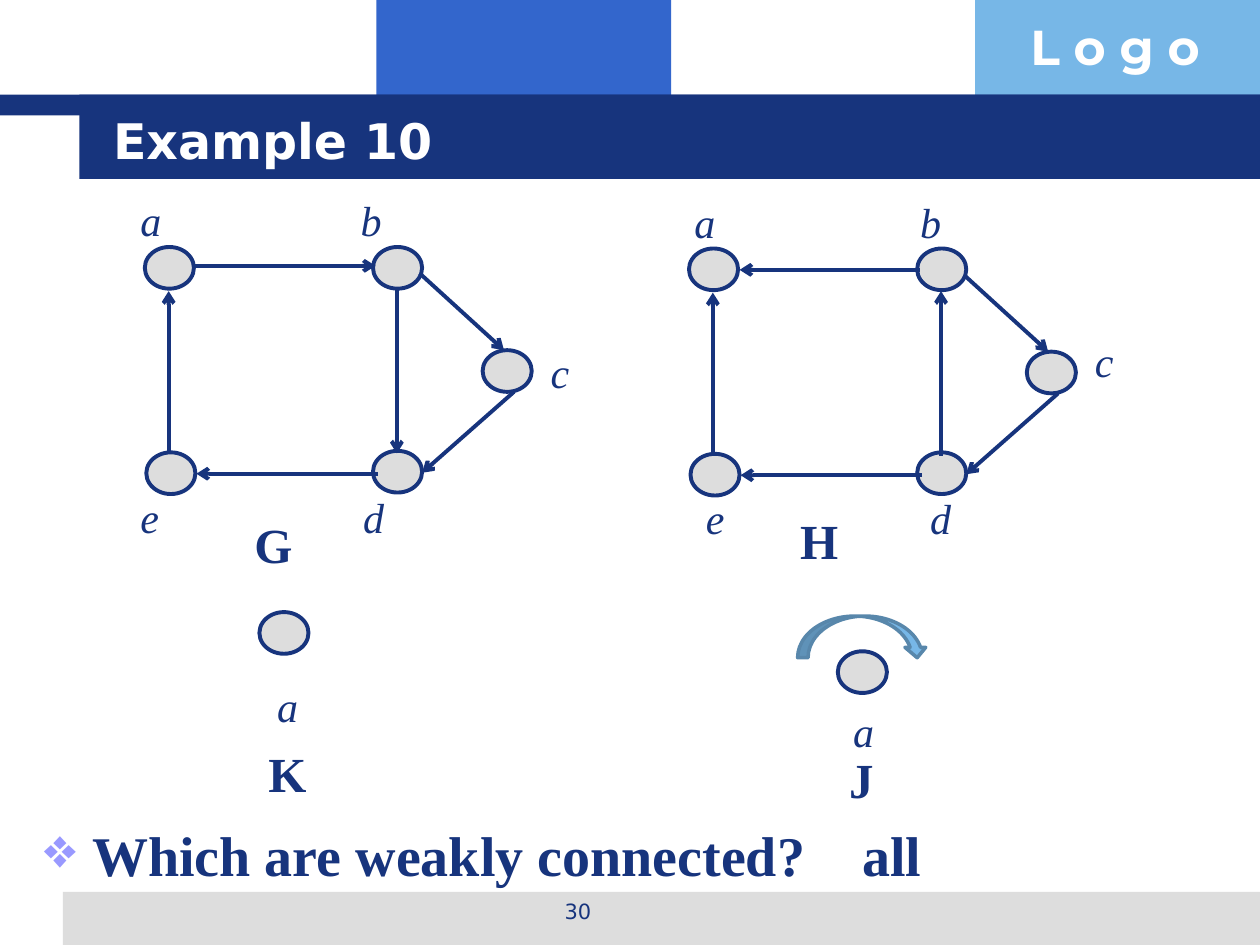
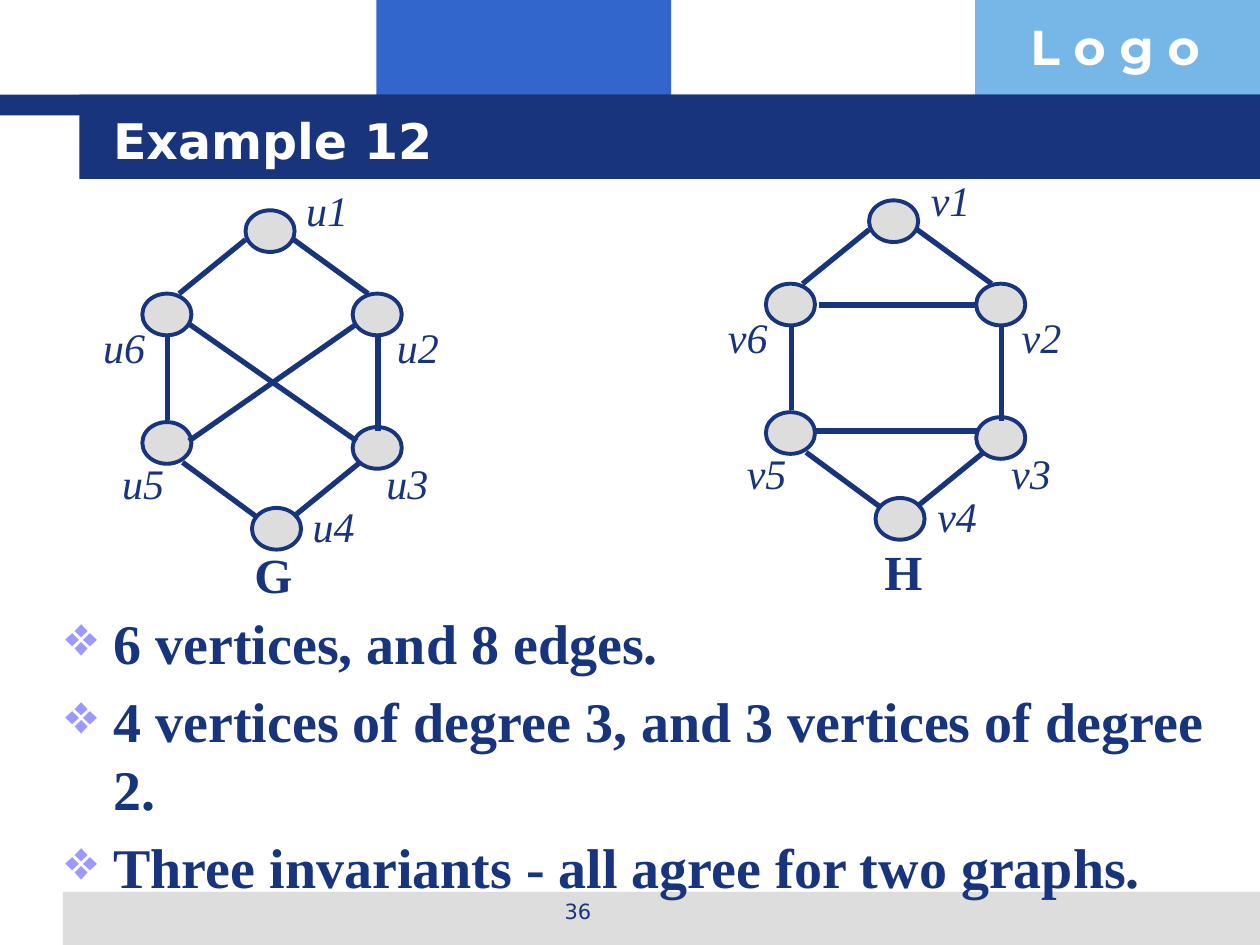
from lxml import etree
from pptx import Presentation
from pptx.dml.color import RGBColor
from pptx.enum import shapes, text
from pptx.oxml import ns
from pptx.util import Cm, Pt

NAVY = RGBColor(0x17, 0x34, 0x7D)
BLUE = RGBColor(0x33, 0x66, 0xCC)
SKY = RGBColor(0x77, 0xB7, 0xE7)
STEEL = RGBColor(0x58, 0x87, 0xAB)
GREY = RGBColor(0xDD, 0xDD, 0xDD)
WHITE = RGBColor(0xFF, 0xFF, 0xFF)
LILAC = "9999FF"
SANS, SERIF, LOGO_FONT = "DejaVu Sans", "Times New Roman", "Montserrat"

RECT = shapes.MSO_SHAPE.RECTANGLE
OVAL = shapes.MSO_SHAPE.OVAL
CURVED_ARROW = shapes.MSO_SHAPE.CURVED_DOWN_ARROW
CENTER = text.PP_ALIGN.CENTER
MIDDLE = text.MSO_ANCHOR.MIDDLE

HANGING = Cm(0.97)

# Positions inside a graph are in cm from the corner of its box.
PENTAGON = [(0.42, 1.18), (5.02, 1.18), (7.23, 3.26), (5.02, 5.29), (0.45, 5.32)]
PENTAGON_EDGES = [
    ((5.12, 5.75), (1.46, 5.75)),
    ((0.9, 5.32), (0.9, 2.07)),
    ((5.96, 1.71), (7.66, 3.26)),
    ((7.86, 4.1), (6.01, 5.73)),
]
HEXAGON = [(3.15, 0.64), (5.31, 2.32), (5.31, 5.01),
           (3.28, 6.64), (1.07, 4.91), (1.07, 2.32)]
HEXAGON_LABELS = [(4.12, 0), (5.95, 2.75), (5.74, 5.49),
                  (4.25, 6.36), (0.41, 5.49), (0.03, 2.75)]
HEXAGON_EDGES = [
    ((1.81, 2.32), (3.15, 1.23)),
    ((5.62, 2.32), (4.12, 1.23)),
    ((1.58, 4.86), (1.58, 3.18)),
    ((4.12, 6.81), (5.46, 5.72)),
    ((3.36, 6.81), (1.88, 5.72)),
    ((5.82, 5.09), (5.82, 3.18)),
]


def add_block(slide, kind, box, fill, line=None, width=2.25):
    block = slide.shapes.add_shape(kind, *map(Cm, box))
    block.shadow.inherit = False
    block.fill.solid()
    block.fill.fore_color.rgb = fill
    if line is None:
        block.line.fill.background()
    else:
        block.line.color.rgb = line
        block.line.width = Pt(width)


def style(paragraph, size, font, color=NAVY, bold=False, italic=False):
    for run in paragraph.runs:
        run.font.size = Pt(size)
        run.font.name = font
        run.font.color.rgb = color
        run.font.bold = bold
        run.font.italic = italic


def add_line_of_text(slide, box, words, size, font, color=NAVY, bold=False,
                     italic=False, align=None, anchor=None, wrap=True):
    frame = slide.shapes.add_textbox(*map(Cm, box)).text_frame
    frame.word_wrap = wrap
    frame.vertical_anchor = anchor
    frame.text = words
    paragraph = frame.paragraphs[0]
    paragraph.alignment = align
    style(paragraph, size, font, color, bold, italic)


def add_node(slide, left, top):
    add_block(slide, OVAL, (left, top, 0.99, 0.84), GREY, NAVY)


def add_label(slide, left, top, words):
    width = 0.94 if len(words) == 1 else 1.35
    add_line_of_text(slide, (left, top, width, 1.27), words, 24, SERIF,
                     italic=True, align=CENTER, anchor=MIDDLE, wrap=False)


def add_graph_name(slide, left, top, name):
    add_line_of_text(slide, (left, top, 1.27, 1.45), name, 28, SERIF,
                     bold=True, wrap=False)


def add_edge(slide, start, end, width, directed):
    edge = slide.shapes.add_connector(
        shapes.MSO_CONNECTOR.STRAIGHT, *map(Cm, start + end))
    edge.line.color.rgb = NAVY
    edge.line.width = Pt(width)
    if directed:
        etree.SubElement(edge.line._get_or_add_ln(), ns.qn("a:tailEnd"), type="arrow")
    etree.SubElement(edge._element.spPr, ns.qn("a:effectLst"))


def add_graph(slide, corner, name, name_at, nodes, labels, edges=(),
              width=2.25, directed=False):
    """Draw a graph; labels is a list of (words, place)."""
    def place(point):
        return corner[0] + point[0], corner[1] + point[1]

    for node in nodes:
        add_node(slide, *place(node))
    for start, end in edges:
        add_edge(slide, place(start), place(end), width, directed)
    for words, point in labels:
        add_label(slide, *place(point), words)
    add_graph_name(slide, *place(name_at), name)


def add_frame(slide, title, number):
    """Draw the bands, logo text, title and page number."""
    for box, fill in [
        ((7.59, 0, 5.94, 2.34), BLUE),
        ((19.66, 0, 5.74, 2.34), SKY),
        ((1.27, 17.98, 24.13, 1.07), GREY),
        ((0, 1.91, 25.4, 0.42), NAVY),
        ((1.6, 1.91, 23.8, 1.7), NAVY),
    ]:
        add_block(slide, RECT, box, fill)
    add_line_of_text(slide, (20.52, 0.2, 4.9, 1.45), "L o g o", 28, LOGO_FONT,
                     WHITE, bold=True)
    add_line_of_text(slide, (8.69, 17.98, 5.92, 0.89), str(number), 12, SANS,
                     align=CENTER)
    add_line_of_text(slide, (2.03, 2.03, 21.67, 1.57), title, 28, SANS,
                     WHITE, bold=True, anchor=MIDDLE)


def add_bullets(slide, box, items):
    """Each item is a list of runs."""
    frame = slide.shapes.add_textbox(*map(Cm, box)).text_frame
    frame.word_wrap = True
    for index, item in enumerate(items):
        paragraph = frame.add_paragraph() if index else frame.paragraphs[0]
        if index:
            paragraph.space_before = Pt(6.4)
        properties = paragraph._p.get_or_add_pPr()
        properties.set("marL", str(HANGING))
        properties.set("indent", str(-HANGING))
        bullet_color = etree.SubElement(properties, ns.qn("a:buClr"))
        etree.SubElement(bullet_color, ns.qn("a:srgbClr"), val=LILAC)
        etree.SubElement(properties, ns.qn("a:buChar"), char="❖")
        for words in item:
            paragraph.add_run().text = words
        style(paragraph, 32, SERIF, bold=True)
    return frame


def build_connectivity(slide):
    add_frame(slide, "Example 10", 30)
    question = add_bullets(slide, (0.64, 16.41, 24.76, 2.67),
                           [["Which are weakly connected?", " ", "all"]])
    gap = question.paragraphs[0].runs[1]
    gap._r.get_or_add_rPr().set("spc", "2400")  # widens the gap before the answer

    add_graph(slide, (2.5, 3.8), "G", (2.38, 6.44), PENTAGON,
              zip("abcde", [(0.07, 0), (4.51, 0), (8.32, 3.06), (4.56, 5.98), (0.05, 5.98)]),
              PENTAGON_EDGES + [((1.44, 1.56), (5.07, 1.56)), ((5.5, 2.04), (5.5, 5.34))],
              directed=True)
    add_graph(slide, (13.47, 3.83), "H", (2.41, 6.33), PENTAGON,
              zip("abcde", [(0.27, 0), (4.82, 0), (8.32, 2.8), (5.02, 5.98), (0.48, 5.98)]),
              PENTAGON_EDGES + [((5.07, 1.61), (1.44, 1.61)), ((5.5, 5.36), (5.5, 2.04))],
              directed=True)
    add_graph(slide, (5.16, 12.34), "K", (0, 2.52), [(0.07, 0)], [("a", (0.17, 1.25))])
    loop = (16.08, 12.42)
    add_graph(slide, loop, "J", (0.79, 2.57), [(0.81, 0.71)], [("a", (0.86, 1.68))])
    add_block(slide, CURVED_ARROW, (*loop, 2.62, 0.84), SKY, STEEL, 2)


def build_invariants(slide):
    add_frame(slide, "Example 12", 36)
    add_bullets(slide, (1.07, 12.14, 23.93, 6.27), [
        ["6 vertices, and 8 edges."],
        ["4 vertices of degree 3, and 3 vertices of degree 2."],
        ["Three invariants - all agree for two graphs."],
    ])
    crossing = [((5.39, 5.29), (2.01, 2.93)), ((2.01, 5.29), (5.39, 2.93))]
    level = [((5.32, 2.75), (2.14, 2.75)), ((2.01, 5.29), (5.32, 5.29))]
    for corner, name, name_at, letter, chords in [
        ((1.8, 3.6), "G", (3.08, 7.25), "u", crossing),
        ((14.37, 3.4), "H", (3.21, 7.4), "v", level),
    ]:
        labels = [(f"{letter}{i}", point) for i, point in enumerate(HEXAGON_LABELS, 1)]
        add_graph(slide, corner, name, name_at, HEXAGON, labels,
                  HEXAGON_EDGES + chords, width=3)


def main():
    deck = Presentation()
    deck.slide_width, deck.slide_height = Cm(25.4), Cm(19.05)
    for build in (build_connectivity, build_invariants):
        build(deck.slides.add_slide(deck.slide_layouts[6]))
    deck.save("out.pptx")


if __name__ == "__main__":
    main()
